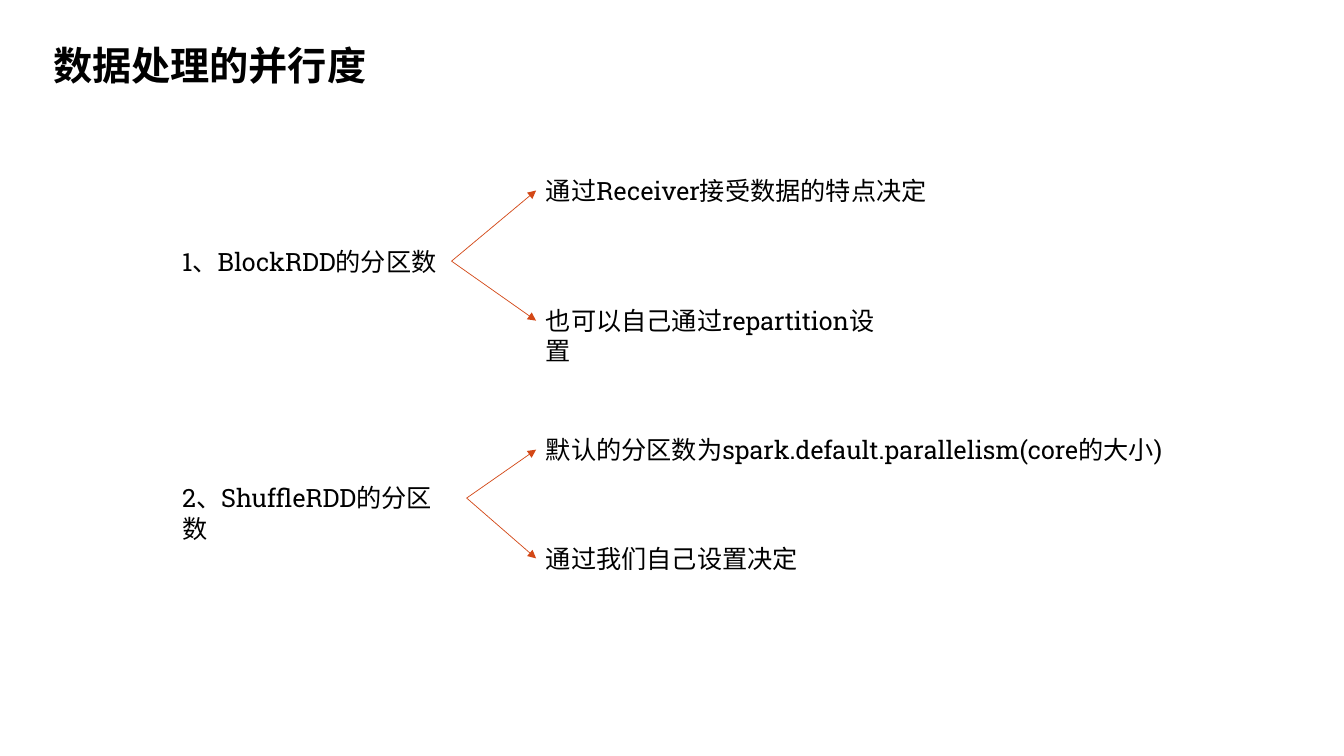
from lxml import etree
from pptx import Presentation
from pptx.dml.color import RGBColor
from pptx.enum.shapes import MSO_CONNECTOR as CONN
from pptx.enum.text import MSO_AUTO_SIZE as AUTO
from pptx.oxml.ns import qn
from pptx.util import Cm, Pt

FONT, BLACK, ORANGE = "Roboto Slab", "000000", "D34817"
TITLE = "数据处理的并行度"

# Each topic: text, top, width, then its branches as (text, top, width), in cm
TOPICS = [
    ("1、BlockRDD的分区数", 6.07, 7.01, [
        ("通过Receiver接受数据的特点决定", 4.29, 10.16),
        ("也可以自己通过repartition设置", 7.57, 9.4),
    ]),
    ("2、ShuffleRDD的分区数", 12.04, 7.39, [
        ("默认的分区数为spark.default.parallelism(core的大小)", 10.82, 16.1),
        ("通过我们自己设置决定", 13.56, 6.93),
    ]),
]
TOPIC_X, BRANCH_X, ROW_H, GAP = 4.34, 13.51, 1.02, 0.03


def rgb(color):
    return RGBColor.from_string(color)


def add_text(s, text, x, y, w, h=ROW_H, size=18, bold=False):
    tf = s.shapes.add_textbox(Cm(x), Cm(y), Cm(w), Cm(h)).text_frame
    tf.word_wrap = True
    tf.auto_size = AUTO.SHAPE_TO_FIT_TEXT
    tf.text = text
    font = tf.paragraphs[0].runs[0].font
    font.name, font.size, font.bold = FONT, Pt(size), bold
    font.color.rgb = rgb(color=BLACK)


def add_arrow(s, x1, y1, x2, y2):
    line = s.shapes.add_connector(CONN.STRAIGHT, Cm(x1), Cm(y1), Cm(x2), Cm(y2))
    line.line.color.rgb = rgb(ORANGE)
    line.line.width = Pt(0.5)
    etree.SubElement(line.line._get_or_add_ln(), qn("a:tailEnd"), type="triangle")
    etree.SubElement(line._element.spPr, qn("a:effectLst"))


def main():
    prs = Presentation()
    prs.slide_width, prs.slide_height = Cm(33.87), Cm(19.05)
    s = prs.slides.add_slide(prs.slide_layouts[6])
    add_text(s, TITLE, 1.09, 0.91, 8.48, 1.45, size=28, bold=True)
    for topic, top, width, branches in TOPICS:
        add_text(s, topic, TOPIC_X, top, width)
        for branch, branch_top, branch_w in branches:
            add_text(s, branch, BRANCH_X, branch_top, branch_w)
            add_arrow(s, TOPIC_X + width + GAP, top + ROW_H / 2,
                      BRANCH_X, branch_top + ROW_H / 2)
    prs.save("out.pptx")


if __name__ == "__main__":
    main()
